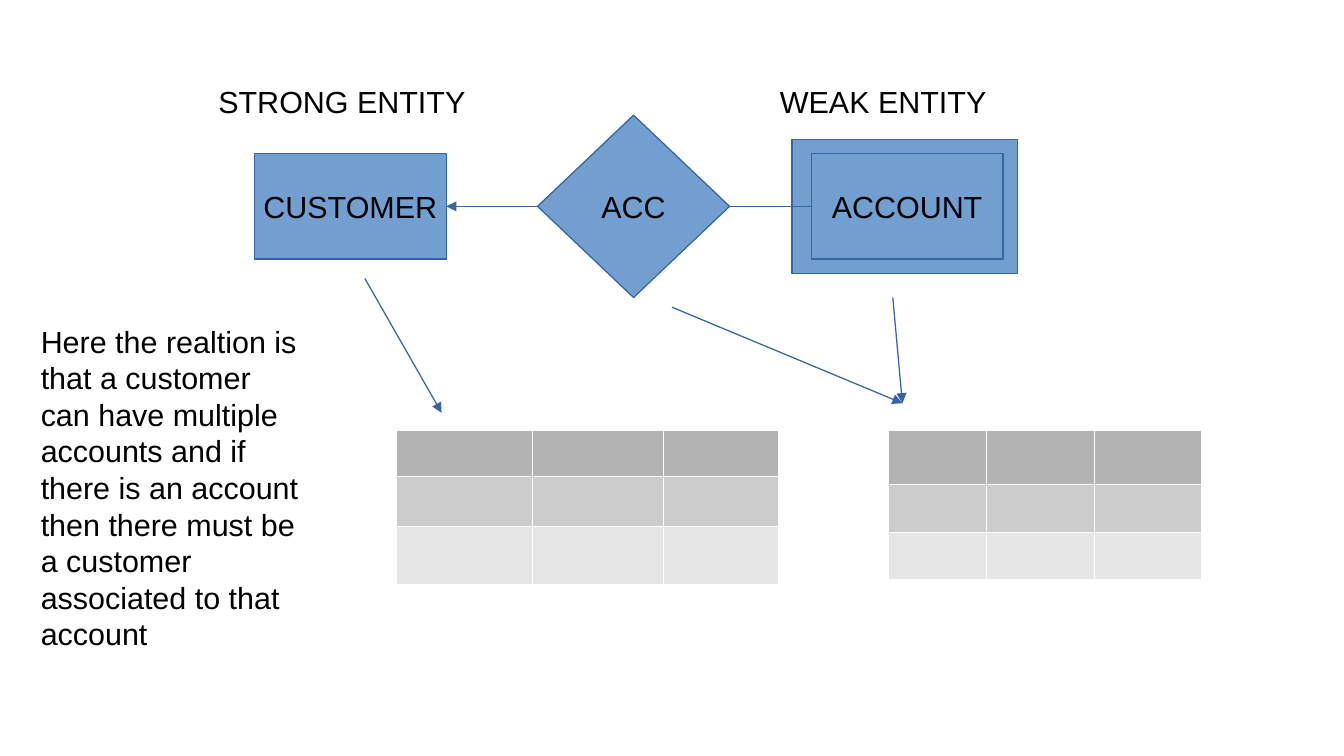
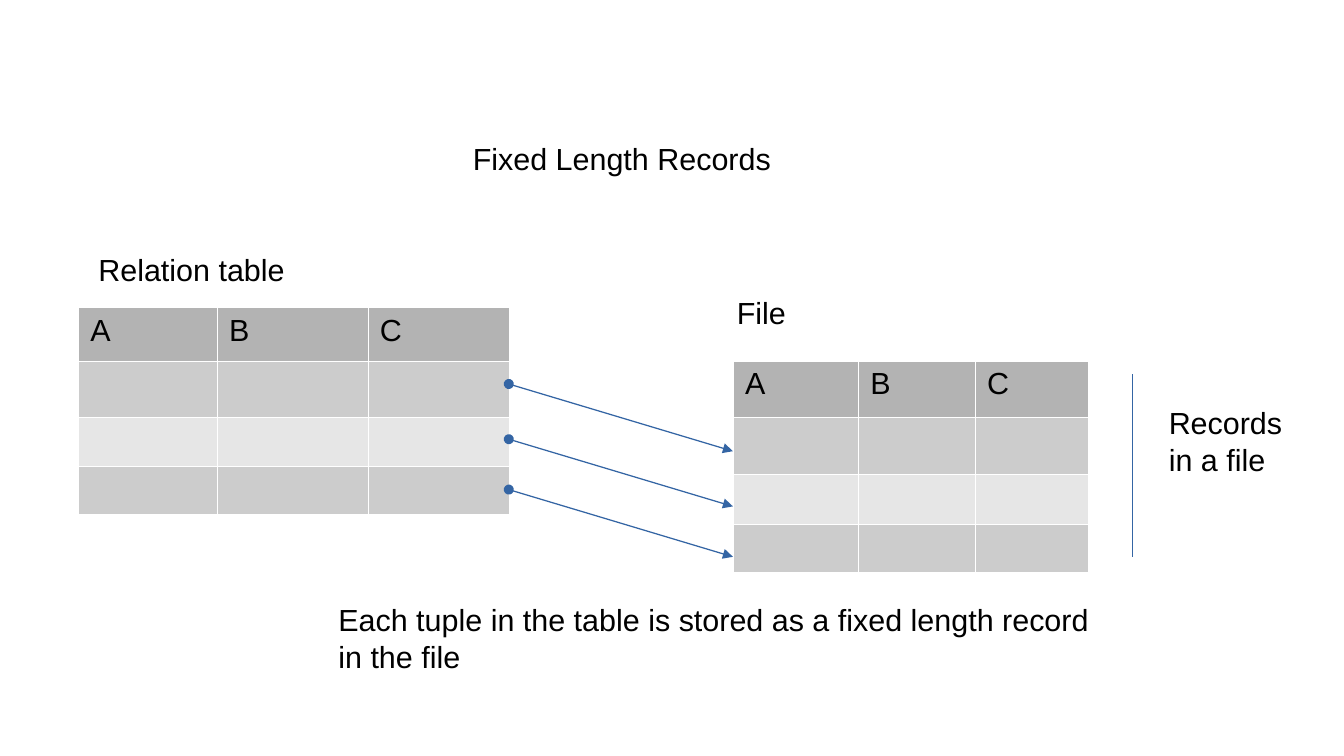
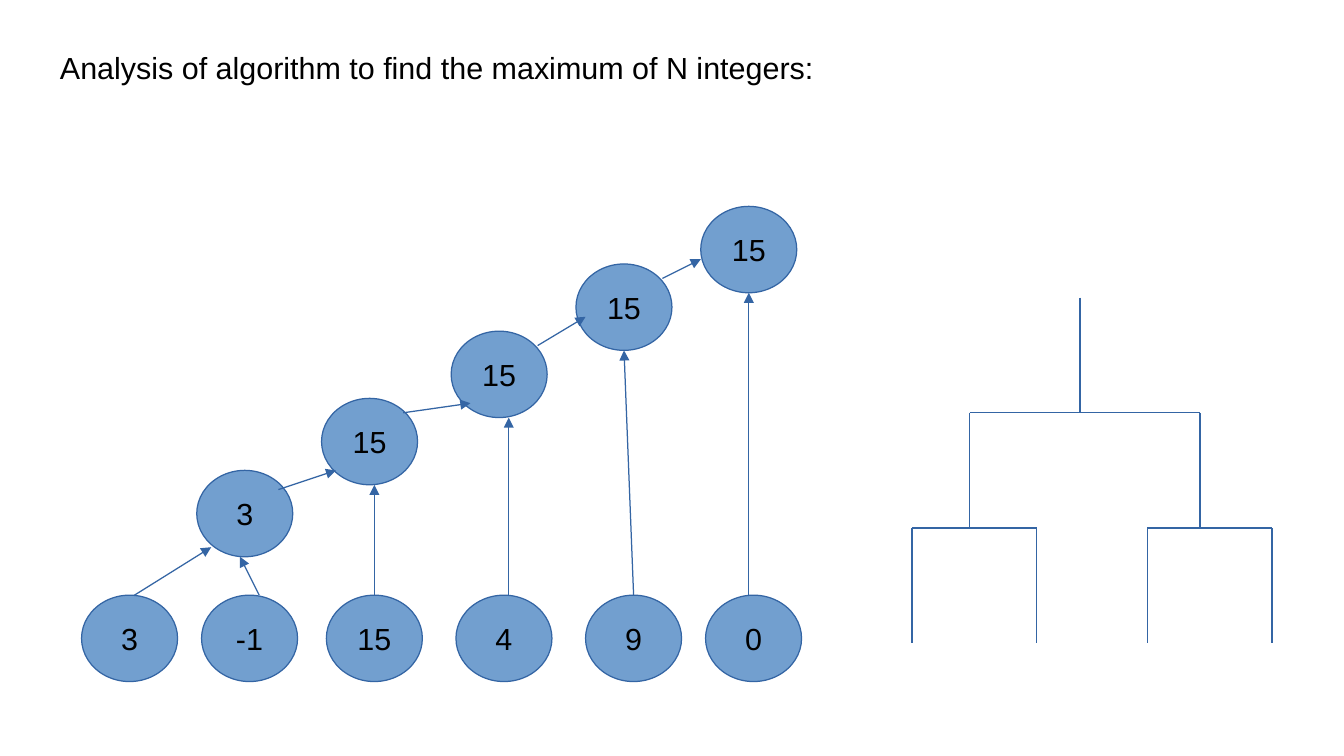
from lxml import etree
from pptx import Presentation
from pptx.dml.color import RGBColor
from pptx.enum.shapes import MSO_CONNECTOR, MSO_SHAPE
from pptx.enum.text import MSO_ANCHOR, PP_ALIGN
from pptx.oxml.ns import qn
from pptx.util import Cm, Pt

BLUE = RGBColor(0x72, 0x9F, 0xCF)
DARK_BLUE = RGBColor(0x34, 0x65, 0xA4)
BLACK = RGBColor(0x00, 0x00, 0x00)
HEADER_GREY = RGBColor(0xB3, 0xB3, 0xB3)
BAND_GREYS = (RGBColor(0xCC, 0xCC, 0xCC), RGBColor(0xE6, 0xE6, 0xE6))
WHITE = "FFFFFF"
FONT = "Arial"
STROKE = Pt(0.75)
CELL_BORDER = Pt(0.06)

COLUMNS, ROWS = 28, 15.75
GRID_STEP = Cm(1)


def span(*steps):
    return [round(step * GRID_STEP) for step in steps]


def write(frame, text, size=18, color=BLACK, align=PP_ALIGN.LEFT,
          anchor=MSO_ANCHOR.TOP, wrap=True):
    frame.word_wrap = wrap
    frame.vertical_anchor = anchor
    paragraph = frame.paragraphs[0]
    paragraph.alignment = align
    run = paragraph.add_run()
    run.text = text
    run.font.name = FONT
    run.font.size = Pt(size)
    run.font.color.rgb = color


def add_label(slide, text, left, top, width, height):
    label = slide.shapes.add_textbox(*span(left, top, width, height))
    write(label.text_frame, text)


def add_node(slide, kind, left, top, width, height, text=""):
    node = slide.shapes.add_shape(kind, *span(left, top, width, height))
    node.shadow.inherit = False
    node.fill.solid()
    node.fill.fore_color.rgb = BLUE
    node.line.color.rgb = DARK_BLUE
    node.line.width = STROKE
    if text:
        write(node.text_frame, text, align=PP_ALIGN.CENTER,
              anchor=MSO_ANCHOR.MIDDLE, wrap=False)


def add_line(slide, start, end, head=None, tail=None):
    line = slide.shapes.add_connector(MSO_CONNECTOR.STRAIGHT, *span(*start, *end))
    line.line.color.rgb = DARK_BLUE
    line.line.width = STROKE
    stroke = line.line._get_or_add_ln()
    for tag, style in (("a:headEnd", head), ("a:tailEnd", tail)):
        if style:
            etree.SubElement(stroke, qn(tag), type=style)
    etree.SubElement(line._element.spPr, qn("a:effectLst"))


def add_arrows(slide, routes, head=None):
    for start, end in routes:
        add_line(slide, start, end, head=head, tail="triangle")


def border_cell(cell):
    properties = cell._tc.get_or_add_tcPr()
    for place, side in enumerate("LRTB"):
        border = etree.Element(qn(f"a:ln{side}"), w=str(CELL_BORDER))
        fill = etree.SubElement(border, qn("a:solidFill"))
        etree.SubElement(fill, qn("a:srgbClr"), val=WHITE)
        properties.insert(place, border)


def add_grid_table(slide, left, top, widths, heights, headings=()):
    frame = slide.shapes.add_table(
        len(heights), len(widths), *span(left, top, sum(widths), sum(heights)))
    table = frame.table
    table.first_row = table.horz_banding = False
    for column, width in zip(table.columns, span(*widths)):
        column.width = width
    for index, (row, height) in enumerate(zip(table.rows, span(*heights))):
        row.height = height
        for cell in row.cells:
            cell.margin_top = cell.margin_bottom = 0
            cell.fill.solid()
            cell.fill.fore_color.rgb = BAND_GREYS[(index - 1) % 2] if index else HEADER_GREY
            border_cell(cell)
    for cell, heading in zip(table.rows[0].cells, headings):
        cell.margin_top = cell.margin_bottom = Cm(0.13)
        write(cell.text_frame, heading)


def build_entities(slide):
    middle = 4.3
    add_node(slide, MSO_SHAPE.RECTANGLE, 16.5, 2.9, 4.7, 2.8)
    for kind, left, height, name in (
            (MSO_SHAPE.RECTANGLE, 5.3, 2.2, "CUSTOMER"),
            (MSO_SHAPE.RECTANGLE, 16.9, 2.2, "ACCOUNT"),
            (MSO_SHAPE.DIAMOND, 11.2, 3.8, "ACC")):
        add_node(slide, kind, left, middle - height / 2, 4, height, name)
    add_label(slide, "STRONG ENTITY", 4.3, 1.6, 5.9, 1.27)
    add_label(slide, "WEAK ENTITY", 16, 1.6, 5.9, 1.27)
    add_label(slide, "Here the realtion is that a customer can have multiple accounts "
              "and if there is an account then there must be a customer associated "
              "to that account", 0.6, 6.6, 5.9, 7.2)
    add_grid_table(slide, 8.25, 8.97, (2.84, 2.72, 2.4), (0.95, 1.05, 1.2))
    add_grid_table(slide, 18.5, 8.95, (2.05, 2.25, 2.23), (1.13, 1, 0.98))
    add_line(slide, (15.2, middle), (16.9, middle))
    add_arrows(slide, (
        ((11.2, middle), (9.3, middle)),
        ((7.6, 5.8), (9.2, 8.6)),
        ((14, 6.4), (18.8, 8.4)),
        ((18.6, 6.2), (18.8, 8.4))))


def build_records(slide):
    add_grid_table(slide, 1.63, 6.4, (2.89, 3.14, 2.94), (1.12, 1.16, 1.03, 1), "ABC")
    add_grid_table(slide, 15.27, 7.52, (2.61, 2.43, 2.36), (1.17, 1.19, 1.04, 0.99), "ABC")
    for text, left, top in (("Fixed Length Records", 9.6, 2.8),
                            ("Relation table", 1.8, 5.1),
                            ("File", 15.1, 6)):
        add_label(slide, text, left, top, 9, 0.95)
    add_line(slide, (23.6, 7.8), (23.6, 11.6))
    add_label(slide, "Records in a file", 24.1, 8.3, 2.9, 2.1)
    drop = 1.4
    add_arrows(slide, [((10.6, top), (15.27, top + drop)) for top in (8, 9.15, 10.2)],
               head="oval")
    add_label(slide, "Each tuple in the table is stored as a fixed length record in the file",
              6.8, 12.4, 16.2, 2.1)


def add_tree(slide, top, step, levels):
    for depth, (stems, bars) in enumerate(levels):
        start = top + depth * step
        end = start + step
        for stem in stems:
            add_line(slide, (stem, start), (stem, end))
        for left, right in bars:
            add_line(slide, (left, end), (right, end))


def build_maximum(slide):
    add_label(slide, "Analysis of algorithm to find the maximum of N integers:",
              1, 0.9, 17.4, 1.2)
    base = 12.4
    inputs = zip((1.7, 4.2, 6.8, 9.5, 12.2, 14.7), ("3", "-1", "15", "4", "9", "0"))
    maxima = ((4.1, 9.8, "3"), (6.7, 8.3, "15"), (9.4, 6.9, "15"),
              (12, 5.5, "15"), (14.6, 4.3, "15"))
    for left, top, value in [(left, base, value) for left, value in inputs] + list(maxima):
        add_node(slide, MSO_SHAPE.OVAL, left, top, 2, 1.8, value)
    add_arrows(slide, (
        ((2.8, base), (4.4, 11.4)), ((5.4, base), (5, 11.6)),
        ((5.8, 10.2), (7, 9.8)), ((7.8, base), (7.8, 10.1)),
        ((8.4, 8.6), (9.8, 8.4)), ((10.6, base), (10.6, 8.7)),
        ((11.2, 7.2), (12.2, 6.6)), ((13.2, base), (13, 7.3)),
        ((13.8, 5.8), (14.6, 5.4)), ((15.6, base), (15.6, 6.1))))
    add_tree(slide, 6.2, 2.4, (
        ((22.5,), ((20.2, 25),)),
        ((20.2, 25), ((19, 21.6), (23.9, 26.5))),
        ((19, 21.6, 23.9, 26.5), ())))


def main():
    deck = Presentation()
    deck.slide_width, deck.slide_height = span(COLUMNS, ROWS)
    blank = deck.slide_layouts[6]
    for build in (build_entities, build_records, build_maximum):
        build(deck.slides.add_slide(blank))
    deck.save("out.pptx")


if __name__ == "__main__":
    main()
